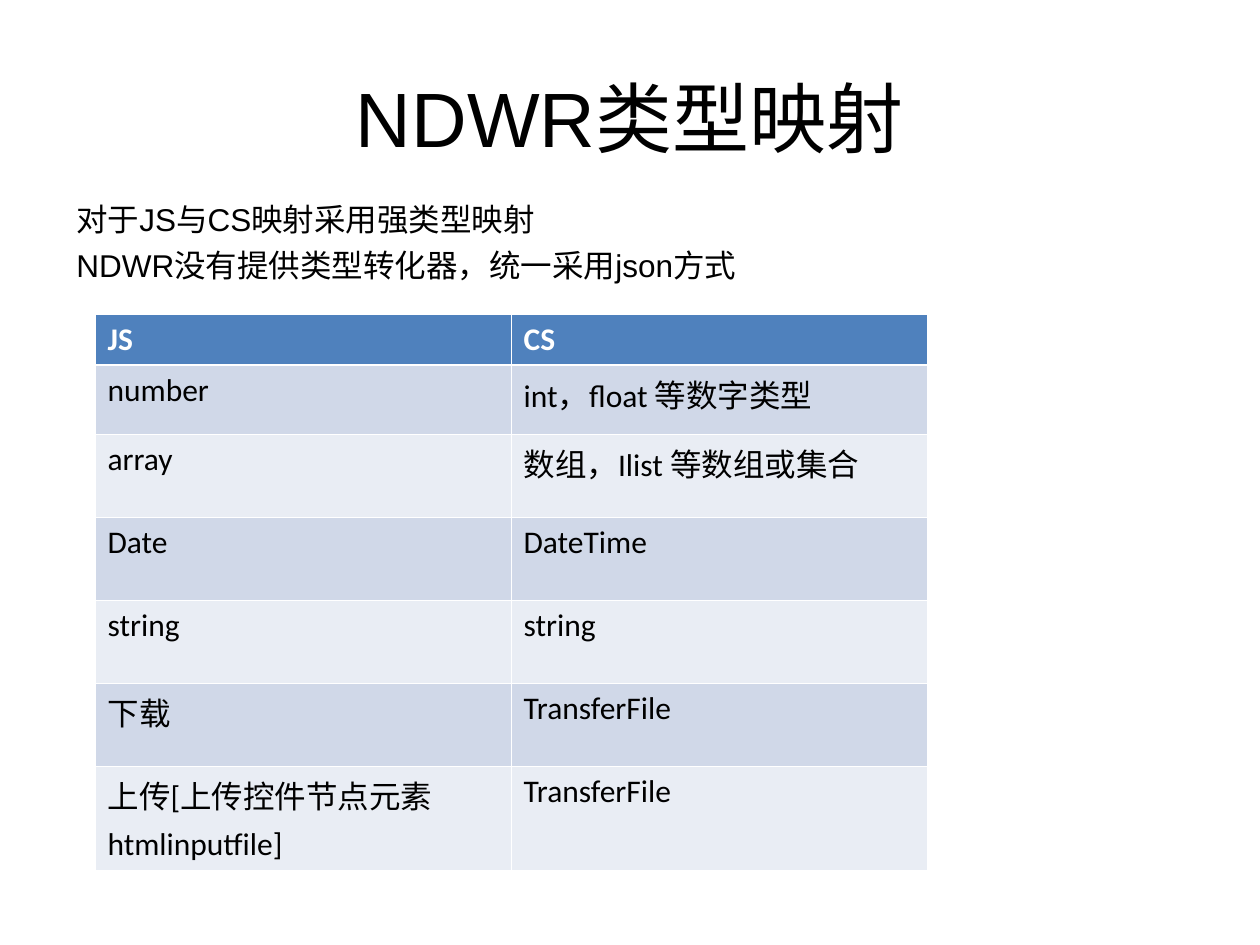
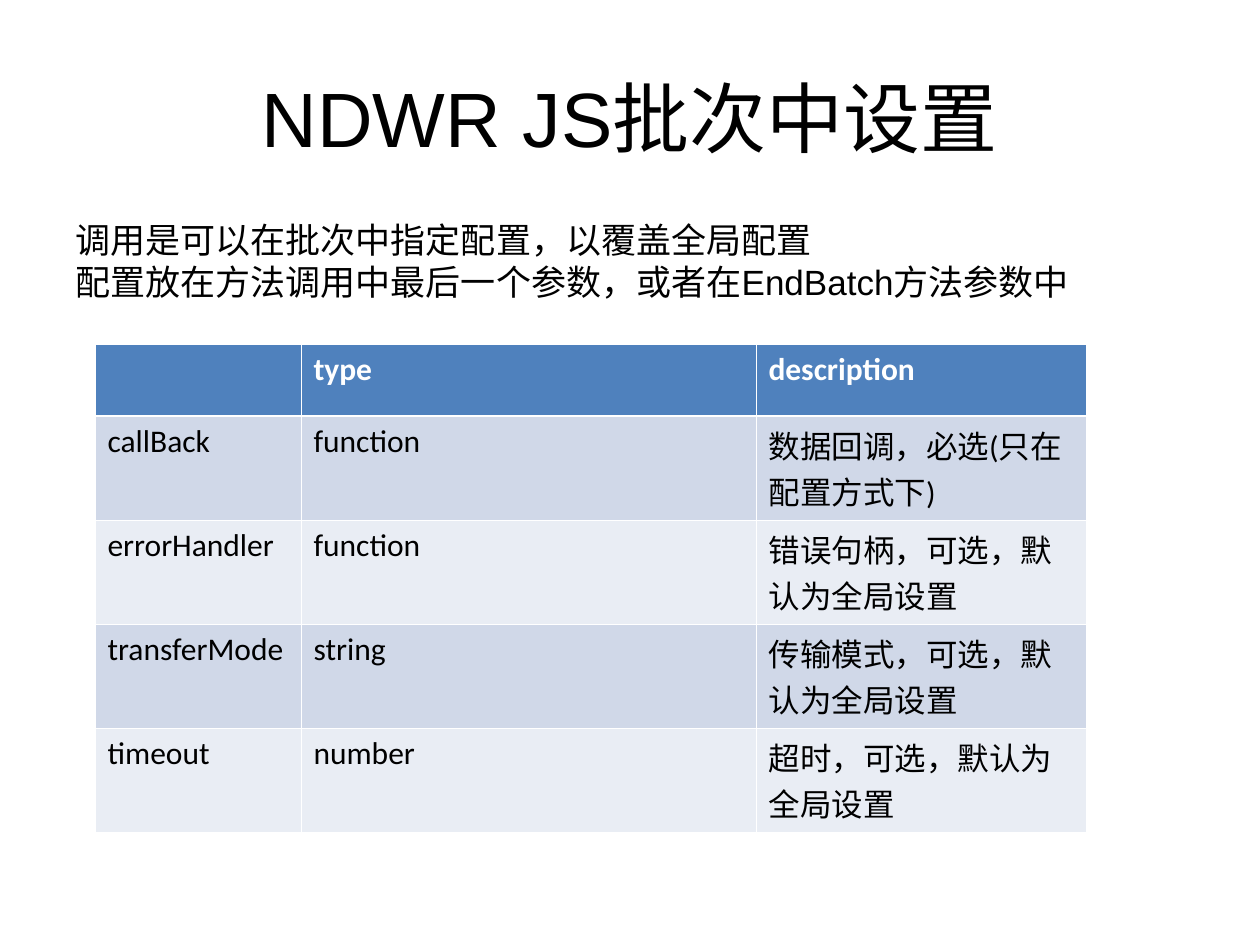
from dataclasses import dataclass

from lxml import etree
from pptx import Presentation
from pptx.dml.color import RGBColor
from pptx.enum.text import MSO_ANCHOR, PP_ALIGN
from pptx.oxml.ns import qn
from pptx.slide import Slide
from pptx.table import _Cell
from pptx.text.text import TextFrame
from pptx.util import Emu, Pt

PX_PER_INCH = 126
SLIDE_SIZE = (1260, 945)
TITLE_BOX = (63, 38, 1134, 157)
TITLE_ONLY = 5

BLACK = RGBColor(0x00, 0x00, 0x00)
WHITE = RGBColor(0xFF, 0xFF, 0xFF)
HEADER_BLUE = RGBColor(0x4F, 0x81, 0xBD)
BANDS = (RGBColor(0xD0, 0xD8, 0xE8), RGBColor(0xE9, 0xED, 0xF4))

TEXT_FONT, TABLE_FONT = "Arial", "Calibri"
THIN, THICK = Pt(0.45), Pt(1.47)
CENTER = PP_ALIGN.CENTER
MIDDLE = MSO_ANCHOR.MIDDLE


@dataclass(frozen=True)
class TextStyle:
    font: str
    size: int
    color: RGBColor = BLACK
    bold: bool = False
    space_before: float = 0
    line_spacing: float = 1.0


@dataclass(frozen=True)
class Intro:
    box: tuple[int, int, int, int]
    text: str
    style: TextStyle


@dataclass(frozen=True)
class Grid:
    left: int
    top: int
    col_widths: tuple[int, ...]
    row_heights: tuple[int, ...]
    rows: tuple[tuple[str, ...], ...]


@dataclass(frozen=True)
class Page:
    title: str
    intro: Intro
    grid: Grid


TITLE_STYLE = TextStyle(TEXT_FONT, 44)
HEADER_STYLE = TextStyle(TABLE_FONT, 18, WHITE, bold=True, space_before=4.5)
CELL_STYLE = TextStyle(TABLE_FONT, 18, space_before=4.5)

PAGES = (
    Page(
        "NDWR类型映射",
        Intro(
            (64, 194, 895, 103),
            "对于JS与CS映射采用强类型映射\nNDWR没有提供类型转化器，统一采用json方式",
            TextStyle(TEXT_FONT, 18, space_before=4.5),
        ),
        Grid(
            95, 314, (416, 416), (51, 69, 83, 83, 83, 83, 104),
            (
                ("JS", "CS"),
                ("number", "int，float 等数字类型"),
                ("array", "数组，Ilist 等数组或集合"),
                ("Date", "DateTime"),
                ("string", "string"),
                ("下载", "TransferFile"),
                ("上传[上传控件节点元素\nhtmlinputfile]", "TransferFile"),
            ),
        ),
    ),
    Page(
        "NDWR JS批次中设置",
        Intro(
            (63, 220, 1043, 93),
            "调用是可以在批次中指定配置，以覆盖全局配置\n"
            "配置放在方法调用中最后一个参数，或者在EndBatch方法参数中",
            TextStyle(TEXT_FONT, 20, space_before=5, line_spacing=0.8),
        ),
        Grid(
            95, 344, (206, 455, 330), (72,) + (104,) * 4,
            (
                ("", "type", "description"),
                ("callBack", "function", "数据回调，必选(只在配置方式下)"),
                ("errorHandler", "function", "错误句柄，可选，默认为全局设置"),
                ("transferMode", "string", "传输模式，可选，默认为全局设置"),
                ("timeout", "number", "超时，可选，默认为全局设置"),
            ),
        ),
    ),
)


def px(length: int) -> Emu:
    return Emu(round(length * 914400 / PX_PER_INCH))


def write(tf: TextFrame, text: str, style: TextStyle) -> None:
    """Fill the frame, one paragraph for each line of text."""
    tf.text = text
    for p in tf.paragraphs:
        p.space_before = Pt(style.space_before)
        p.line_spacing = style.line_spacing
        p.font.name = style.font
        p.font.size = Pt(style.size)
        p.font.bold = style.bold
        p.font.color.rgb = style.color


def set_borders(cell: _Cell, top: int, bottom: int) -> None:
    """Draw white borders; the side borders are always thin."""
    tc_pr = cell._tc.get_or_add_tcPr()
    widths = {"a:lnL": THIN, "a:lnR": THIN, "a:lnT": top, "a:lnB": bottom}
    for i, (tag, width) in enumerate(widths.items()):
        ln = etree.Element(qn(tag), w=str(int(width)))
        fill = etree.SubElement(ln, qn("a:solidFill"))
        etree.SubElement(fill, qn("a:srgbClr"), val=str(WHITE))
        tc_pr.insert(i, ln)


def add_title(s: Slide, text: str) -> None:
    title = s.shapes.title
    title.left, title.top, title.width, title.height = map(px, TITLE_BOX)
    tf = title.text_frame
    tf.vertical_anchor = MIDDLE
    write(tf, text, TITLE_STYLE)
    tf.paragraphs[0].alignment = CENTER


def add_intro(s: Slide, intro: Intro) -> None:
    tf = s.shapes.add_textbox(*map(px, intro.box)).text_frame
    tf.word_wrap = True
    write(tf, intro.text, intro.style)


def add_grid(s: Slide, grid: Grid) -> None:
    size = (sum(grid.col_widths), sum(grid.row_heights))
    table = s.shapes.add_table(
        len(grid.rows), len(grid.col_widths), *map(px, (grid.left, grid.top, *size))
    ).table
    for column, width in zip(table.columns, grid.col_widths):
        column.width = px(width)
    for i, (row, height, texts) in enumerate(
        zip(table.rows, grid.row_heights, grid.rows)
    ):
        row.height = px(height)
        for cell, text in zip(row.cells, texts):
            write(cell.text_frame, text, CELL_STYLE if i else HEADER_STYLE)
            cell.fill.solid()
            cell.fill.fore_color.rgb = BANDS[(i - 1) % 2] if i else HEADER_BLUE
            set_borders(
                cell,
                top=THICK if i == 1 else THIN,
                bottom=THICK if i == 0 else THIN,
            )


def main() -> None:
    prs = Presentation()
    prs.slide_width, prs.slide_height = map(px, SLIDE_SIZE)
    for page in PAGES:
        s = prs.slides.add_slide(prs.slide_layouts[TITLE_ONLY])
        add_title(s, page.title)
        add_intro(s, page.intro)
        add_grid(s, page.grid)
    prs.save("out.pptx")


if __name__ == "__main__":
    main()
